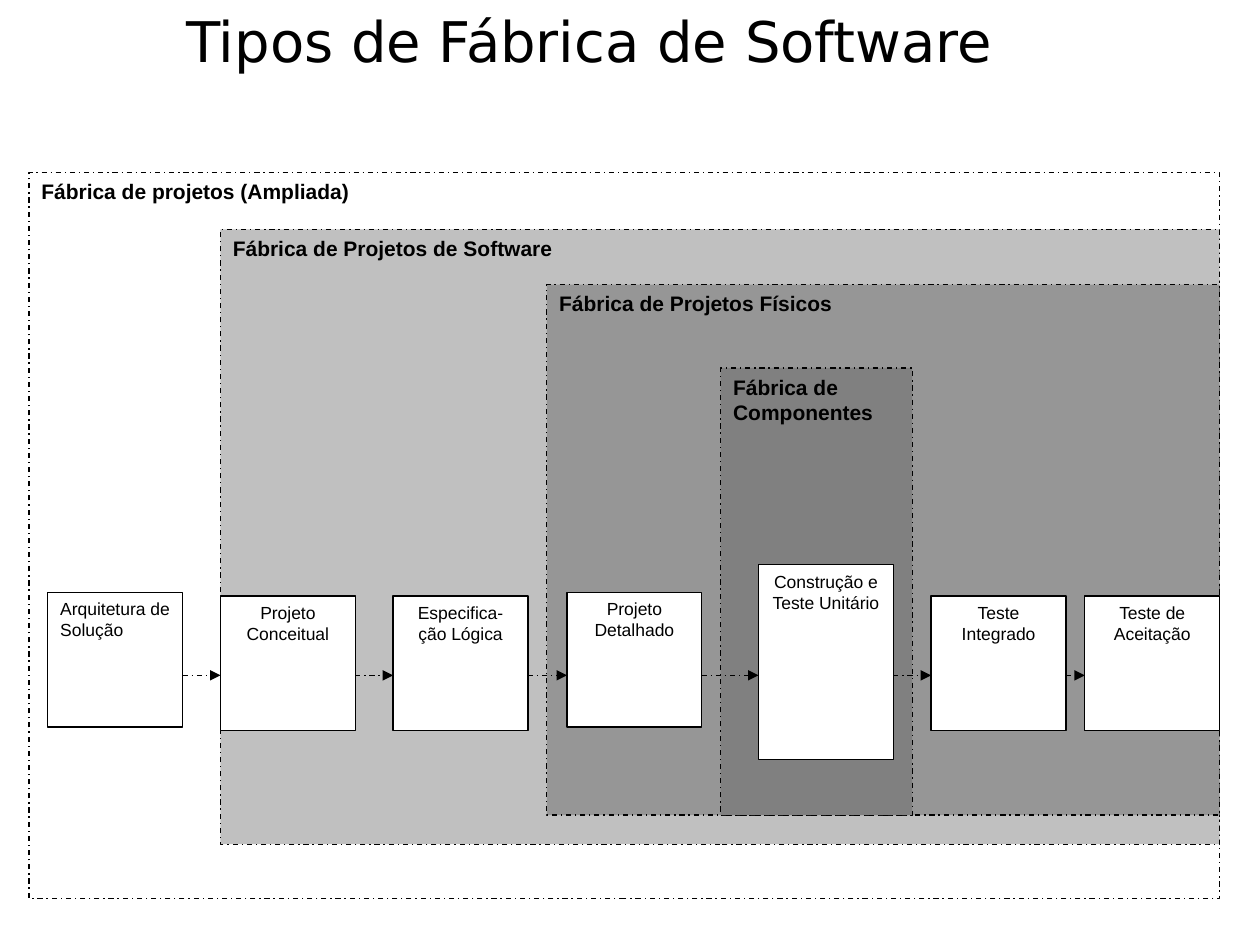
from lxml.etree import SubElement
from pptx import Presentation
from pptx.dml.color import RGBColor
from pptx.enum.dml import MSO_LINE
from pptx.enum.shapes import MSO_CONNECTOR, MSO_SHAPE
from pptx.enum.text import MSO_ANCHOR, PP_ALIGN
from pptx.oxml.ns import qn
from pptx.util import Inches, Pt

TITLE = "Tipos de Fábrica de Software"
FACTORIES = [
    ("Fábrica de projetos (Ampliada)", 0.23, 1.37, 9.45, 5.76, "FFFFFF"),
    ("Fábrica de Projetos de Software", 1.75, 1.82, 7.93, 4.88, "C0C0C0"),
    ("Fábrica de Projetos Físicos", 4.34, 2.26, 5.34, 4.21, "969696"),
    ("Fábrica de Componentes", 5.72, 2.92, 1.52, 3.55, "808080"),
]
STAGES = [
    ("Arquitetura de Solução", 0.38, 4.7, 1.07, PP_ALIGN.LEFT),
    ("Projeto Conceitual", 1.75, 4.73, 1.07, PP_ALIGN.CENTER),
    ("Especifica- ção Lógica", 3.12, 4.73, 1.07, PP_ALIGN.CENTER),
    ("Projeto Detalhado", 4.5, 4.7, 1.07, PP_ALIGN.CENTER),
    ("Construção e Teste Unitário", 6.02, 4.48, 1.55, PP_ALIGN.CENTER),
    ("Teste Integrado", 7.39, 4.73, 1.07, PP_ALIGN.CENTER),
    ("Teste de Aceitação", 8.61, 4.73, 1.07, PP_ALIGN.CENTER),
]
STAGE_WIDTH = 1.07
FLOW_Y = 5.36
FACTORY_FONT = {"name": "Arial", "size": Pt(12), "bold": True}
STAGE_FONT = {"name": "Arial", "size": Pt(10), "bold": False}
TITLE_FONT = {"name": "DejaVu Sans", "size": Pt(32), "bold": False}


def color(value):
    return RGBColor.from_string(value)


def write(tf, text, font, align, anchor):
    tf.word_wrap = True
    tf.vertical_anchor = anchor
    p = tf.paragraphs[0]
    p.alignment = align
    r = p.add_run()
    r.text = text
    r.font.color.rgb = color("000000")
    for name, value in font.items():
        setattr(r.font, name, value)


def outline(line, dash=None):
    line.color.rgb = color("000000")
    line.width = Pt(0.75)
    if dash:
        line.dash_style = dash


def add_box(s, text, bounds, fill, font, align=PP_ALIGN.LEFT, dash=None):
    sp = s.shapes.add_shape(MSO_SHAPE.RECTANGLE, *map(Inches, bounds))
    sp.shadow.inherit = False
    sp.fill.solid()
    sp.fill.fore_color.rgb = color(fill)
    outline(sp.line, dash)
    write(sp.text_frame, text, font, align, MSO_ANCHOR.TOP)


def add_arrow(s, start, end):
    points = map(Inches, (start, FLOW_Y, end, FLOW_Y))
    cxn = s.shapes.add_connector(MSO_CONNECTOR.STRAIGHT, *points)
    outline(cxn.line, MSO_LINE.DASH_DOT)
    SubElement(cxn.line._get_or_add_ln(), qn("a:tailEnd"), type="triangle")
    SubElement(cxn._element.spPr, qn("a:effectLst"))


def main():
    prs = Presentation()
    prs.slide_width, prs.slide_height = Inches(10), Inches(7.5)
    s = prs.slides.add_slide(prs.slide_layouts[5])

    title = s.shapes.title
    bounds = {"left": 1.48, "top": 0, "width": 8.52, "height": 0.63}
    for name, value in bounds.items():
        setattr(title, name, Inches(value))
    tf = title.text_frame
    for side in ("left", "top", "right", "bottom"):
        setattr(tf, f"margin_{side}", 0)
    write(tf, TITLE, TITLE_FONT, PP_ALIGN.LEFT, MSO_ANCHOR.MIDDLE)

    for text, *bounds, fill in FACTORIES:
        add_box(s, text, bounds, fill, FACTORY_FONT, dash=MSO_LINE.DASH_DOT)
    for text, left, top, height, align in STAGES:
        bounds = (left, top, STAGE_WIDTH, height)
        add_box(s, text, bounds, "FFFFFF", STAGE_FONT, align)
    for stage, following in zip(STAGES, STAGES[1:]):
        add_arrow(s, stage[1] + STAGE_WIDTH, following[1])

    prs.save("out.pptx")


if __name__ == "__main__":
    main()
